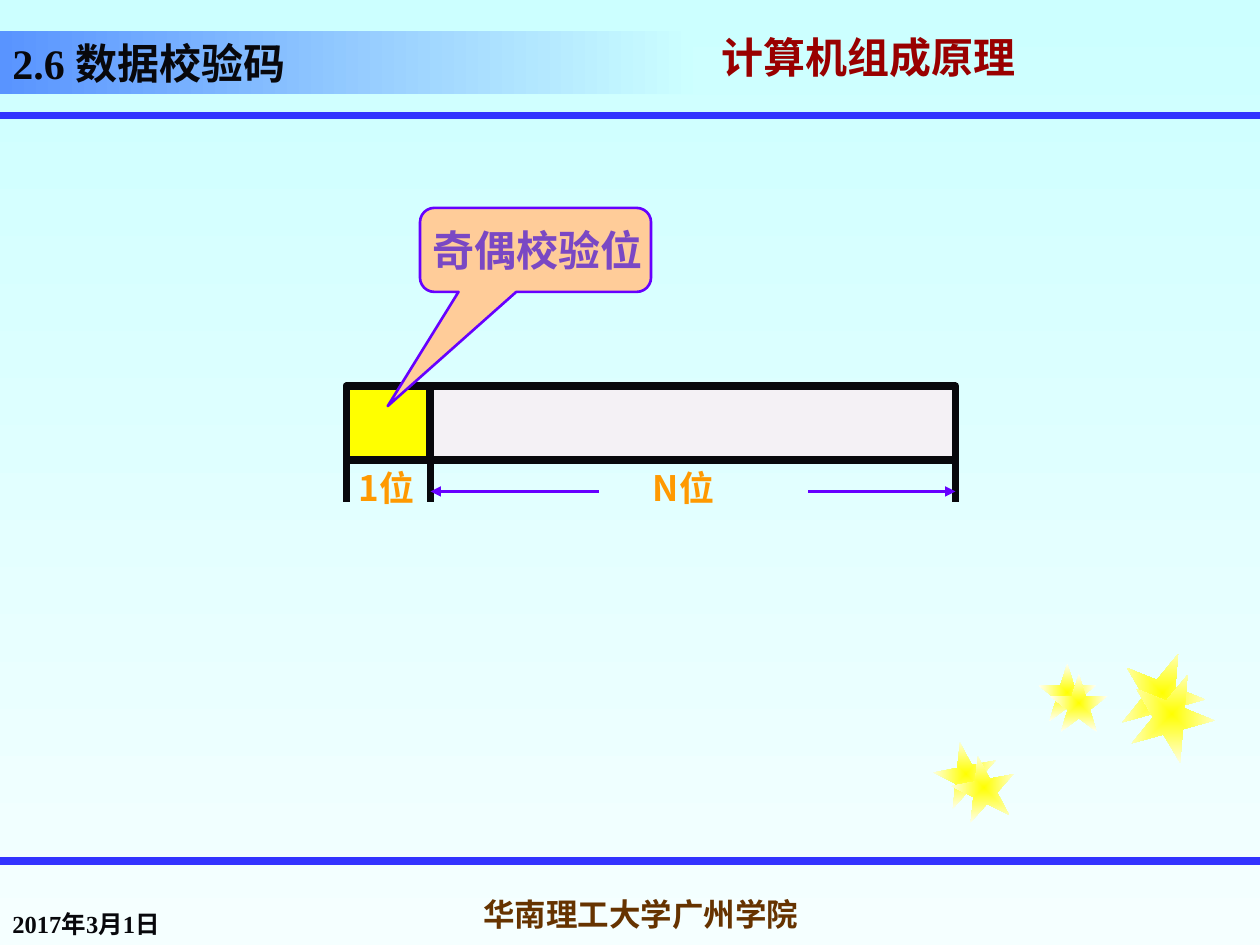
from dataclasses import dataclass

from lxml import etree
from pptx import Presentation
from pptx.dml.color import RGBColor
from pptx.enum.shapes import MSO_CONNECTOR as Connector, MSO_SHAPE as Shape
from pptx.enum.text import MSO_ANCHOR as Anchor, PP_ALIGN as Align
from pptx.oxml.ns import qn
from pptx.util import Inches, Pt


@dataclass(frozen=True)
class Theme:
    sky: tuple = ("CCFFFF", "F5FFFF")
    banner: tuple = ("5994FF", "CCFFFF")
    star: tuple = ("FFFF00", "FFFFF5")
    rule: str = "3333FF"
    ink: str = "08080C"
    course: str = "990000"
    shadow: str = "808080"
    school: str = "663300"
    data: str = "F4F1F5"
    parity: str = "FFFF00"
    bits: str = "FF9900"
    callout: str = "FFCC99"
    accent: str = "6600FF"
    callout_text: str = "7A48C4"
    latin: str = "Times New Roman"
    cjk: str = "Noto Sans CJK SC"
    title: int = 24
    label: int = 20
    footer: int = 18
    date: int = 14
    thick: float = 4.5
    thin: float = 1.5


class Canvas:
    COLUMNS, ROWS = 120, 90

    def __init__(self, deck, theme):
        self.theme = theme
        self.column = deck.slide_width / self.COLUMNS
        self.row = deck.slide_height / self.ROWS
        self.slide = deck.slides.add_slide(deck.slide_layouts[6])
        self.gradient(self.slide.background.fill, theme.sky, 270)

    def place(self, x, y, *size):
        scales = (self.column, self.row) * 2
        return [round(v * s) for v, s in zip((x, y, *size), scales)]

    def gradient(self, fill, colors, angle):
        fill.gradient()
        fill.gradient_angle = angle
        for stop, position, color in zip(fill.gradient_stops, (0, 1), colors):
            stop.position = position
            stop.color.rgb = RGBColor.from_string(color)

    def shape(self, kind, box, fill=None, line=None, width=None):
        item = self.slide.shapes.add_shape(kind, *self.place(*box))
        item.shadow.inherit = False
        if fill:
            item.fill.solid()
            item.fill.fore_color.rgb = RGBColor.from_string(fill)
        if line:
            item.line.color.rgb = RGBColor.from_string(line)
            item.line.width = Pt(width)
        else:
            item.line.fill.background()
        return item

    def line(self, start, end, color, width, arrow=False):
        item = self.slide.shapes.add_connector(
            Connector.STRAIGHT, *self.place(*start), *self.place(*end))
        item.line.color.rgb = RGBColor.from_string(color)
        item.line.width = Pt(width)
        properties = item._element.spPr
        if arrow:
            etree.SubElement(properties.find(qn("a:ln")), qn("a:tailEnd"), type="triangle")
        etree.SubElement(properties, qn("a:effectLst"))

    def star(self, x, y, size, rotation):
        item = self.shape(Shape.STAR_5_POINT, (x, y, size, size))
        item.rotation = rotation
        self.gradient(item.fill, self.theme.star, 0)
        linear = item._element.spPr.find(".//" + qn("a:lin"))
        radial = etree.Element(qn("a:path"), path="shape")
        etree.SubElement(radial, qn("a:fillToRect"), l="50000", t="50000", r="50000", b="50000")
        linear.getparent().replace(linear, radial)

    def label(self, item, runs, size, color, anchor=Anchor.TOP, align=Align.LEFT, wrap=True):
        frame = item.text_frame
        frame.word_wrap = wrap
        frame.vertical_anchor = anchor
        paragraph = frame.paragraphs[0]
        paragraph.alignment = align
        for words, face in runs:
            run = paragraph.add_run()
            run.text = words
            run.font.size = Pt(size)
            run.font.bold = True
            run.font.color.rgb = RGBColor.from_string(color)
            run.font.name = face
            latin = run.font._element.find(qn("a:latin"))
            latin.addnext(etree.Element(qn("a:ea"), typeface=self.theme.cjk))
        return paragraph

    def text(self, box, words, face, size, color, **layout):
        item = self.slide.shapes.add_textbox(*self.place(*box))
        return self.label(item, [(words, face)], size, color, **layout)

    def text_shadow(self, run):
        effects = etree.Element(qn("a:effectLst"))
        shadow = etree.SubElement(effects, qn("a:outerShdw"), dist="25400", dir="2700000")
        etree.SubElement(shadow, qn("a:srgbClr"), val=self.theme.shadow)
        run.font._element.find(qn("a:solidFill")).addnext(effects)


def draw_frame(canvas, theme):
    course = canvas.text((67.5, 3, 52.5, 6), "计算机组成原理", theme.cjk,
                         theme.title, theme.course, anchor=Anchor.MIDDLE)
    course.line_spacing = 0.7
    canvas.text_shadow(course.runs[0])
    for y in (11, 82):
        canvas.line((0, y), (canvas.COLUMNS, y), theme.rule, theme.thick)
    for x, y, size, rotation in (
            (89, 70.7, 6, 349), (98.9, 63.2, 5.5, 0), (106.7, 62, 8, 22),
            (90.7, 72, 6, 349), (100, 64.2, 5.5, 0), (107.6, 64, 8, 22)):
        canvas.star(x, y, size, rotation)
    canvas.text((0, 84, 25, 6), "2017年3月1日", theme.latin,
                theme.date, theme.ink, anchor=Anchor.BOTTOM)
    canvas.text((42, 84, 38, 6), "华南理工大学广州学院", theme.latin, theme.footer,
                theme.school, anchor=Anchor.MIDDLE, align=Align.CENTER, wrap=False)
    banner = canvas.shape(Shape.RECTANGLE, (0, 3, 66, 6))
    canvas.gradient(banner.fill, theme.banner, 0)
    canvas.label(banner, [("2.6 ", theme.latin), ("数据校验码", theme.cjk)],
                 theme.title, theme.ink, anchor=Anchor.BOTTOM)


def draw_code_word(canvas, theme):
    left, split, right = 33, 41, 91
    top, height = 36.8, 7
    bottom = top + height
    tick_top, tick_bottom, arrow_y = bottom - 2, bottom + 4, bottom + 3
    canvas.shape(Shape.RECTANGLE, (left, top, right - left, height),
                 theme.data, theme.ink, theme.thick)
    canvas.shape(Shape.RECTANGLE, (left, top, split - left, height),
                 theme.parity, theme.ink, theme.thick)
    for x in (left, split, right):
        canvas.line((x, tick_top), (x, tick_bottom), theme.ink, theme.thick)
    for inner, outer in ((57, split), (77, right)):
        canvas.line((inner, arrow_y), (outer, arrow_y), theme.accent, theme.thin, arrow=True)
    for x, words in ((left, "1位"), (61, "N位")):
        canvas.text((x, bottom, 14, 5.2), words, theme.cjk, theme.label, theme.bits)
    callout = canvas.shape(Shape.ROUNDED_RECTANGULAR_CALLOUT, (40, 19.8, 22, 8),
                           theme.callout, theme.accent, theme.thin)
    for index, value in enumerate((-0.64, 1.86, 0.17)):
        callout.adjustments[index] = value
    canvas.text((40, 20.8, 26, 6), "奇偶校验位", theme.latin, theme.title, theme.callout_text)


def main():
    deck = Presentation()
    deck.slide_width, deck.slide_height = Inches(10), Inches(7.5)
    theme = Theme()
    canvas = Canvas(deck, theme)
    draw_frame(canvas, theme)
    draw_code_word(canvas, theme)
    deck.save("out.pptx")


if __name__ == "__main__":
    main()
